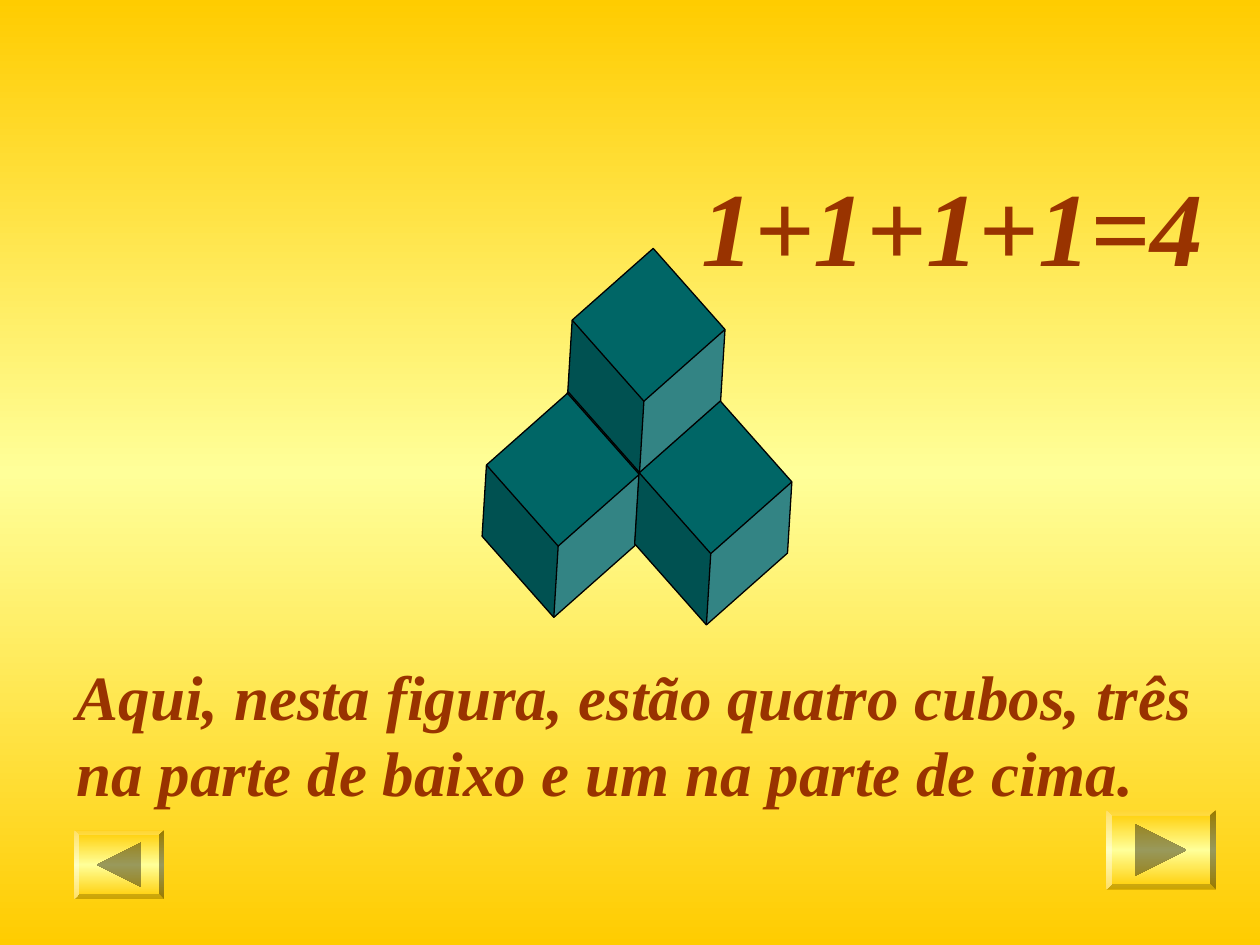
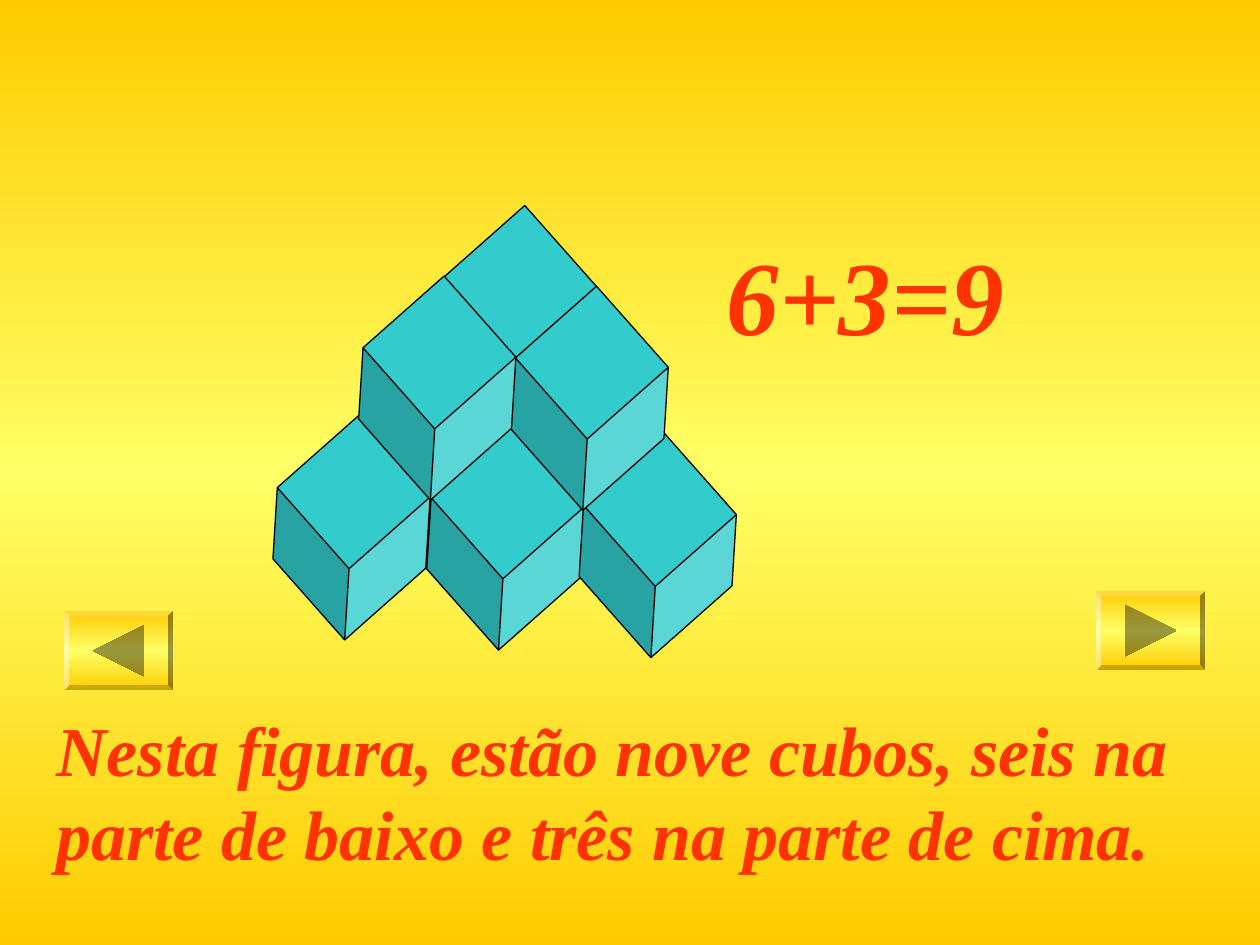
from dataclasses import dataclass
from copy import deepcopy

from lxml import etree
from pptx import Presentation
from pptx.dml.color import RGBColor
from pptx.enum.shapes import MSO_SHAPE as Preset
from pptx.enum.text import MSO_AUTO_SIZE as AutoSize
from pptx.oxml.ns import qn
from pptx.util import Pt


@dataclass(frozen=True)
class Theme:
    font: str = "Times New Roman"
    gold: str = "FFCC00"
    pale_glow: str = "FFFF99"
    bright_glow: str = "FFFF66"
    teal: str = "006666"
    turquoise: str = "33CCCC"
    brown: str = "993300"
    red: str = "FF3300"
    outline: str = "000000"
    outline_width: float = 0.75
    formula_size: int = 60
    caption_size: int = 36
    large_caption_size: int = 40
    cube_side: float = 90.7
    cube_turn: float = 138.5
    cube_depth: float = 0.318


class SlideBuilder:
    def __init__(self, deck, theme):
        self.deck = deck
        self.theme = theme

    def start(self, glow, cube_color, text_color):
        self.page = self.deck.slides.add_slide(self.deck.slide_layouts[6])
        self.glow = glow
        self.cube_color = RGBColor.from_string(cube_color)
        self.text_color = RGBColor.from_string(text_color)
        self.shine(self.page.background.fill, self.page)

    def shine(self, fill, owner):
        fill.gradient()
        fill.gradient_angle = 270
        stops = next(owner.element.iter(qn("a:gsLst")))
        stops.insert(1, deepcopy(stops[0]))
        colors = (self.theme.gold, self.glow, self.theme.gold)
        for stop, position, color in zip(fill.gradient_stops, (0, 0.5, 1), colors):
            stop.position = position
            stop.color.rgb = RGBColor.from_string(color)

    def cubes(self, places, grouped=False):
        shapes = self.page.shapes
        if grouped:
            shapes = shapes.add_group_shape().shapes
        side = Pt(self.theme.cube_side)
        for left, top in places:
            cube = shapes.add_shape(Preset.CUBE, Pt(left), Pt(top), side, side)
            cube.adjustments[0] = self.theme.cube_depth
            cube.rotation = self.theme.cube_turn
            cube.shadow.inherit = False
            cube.fill.solid()
            cube.fill.fore_color.rgb = self.cube_color
            cube.line.color.rgb = RGBColor.from_string(self.theme.outline)
            cube.line.width = Pt(self.theme.outline_width)

    def text(self, wording, left, top, width, height, size):
        box = self.page.shapes.add_textbox(Pt(left), Pt(top), Pt(width), Pt(height))
        frame = box.text_frame
        frame.word_wrap = True
        frame.auto_size = AutoSize.SHAPE_TO_FIT_TEXT
        para = frame.paragraphs[0]
        para.text = wording
        para.font.name = self.theme.font
        para.font.size = Pt(size)
        para.font.bold = para.font.italic = True
        para.font.color.rgb = self.text_color

    def button(self, left, top, width, height, direction):
        bevel = height / 15
        reach = 0.375 * (height - 2 * bevel)
        right, bottom = left + width, top + height
        middle_x, middle_y = left + width / 2, top + height / 2
        outer = [(left, top), (right, top), (right, bottom), (left, bottom)]
        inner = [(left + bevel, top + bevel), (right - bevel, top + bevel),
                 (right - bevel, bottom - bevel), (left + bevel, bottom - bevel)]
        back, tip = middle_x - direction * reach, middle_x + direction * reach
        arrow = [(back, middle_y - reach), (tip, middle_y), (back, middle_y + reach)]
        faces = [("norm", outer)]
        for side, shade in enumerate(("lightenLess", "darken", "darkenLess", "lighten")):
            after = (side + 1) % 4
            faces.append((shade, [outer[side], outer[after], inner[after], inner[side]]))
        faces.append(("darken", arrow))
        self.shaded_outline(faces)

    def shaded_outline(self, faces):
        contours = [[(Pt(x), Pt(y)) for x, y in points] for _, points in faces]
        builder = self.page.shapes.build_freeform(*contours[0][0])
        builder.add_line_segments(contours[0][1:], close=True)
        for points in contours[1:]:
            builder.move_to(*points[0])
            builder.add_line_segments(points[1:], close=True)
        shape = builder.convert_to_shape()
        shape.shadow.inherit = False
        shape.line.fill.background()
        self.shine(shape.fill, shape)

        joined = next(shape.element.iter(qn("a:path")))
        paths = joined.getparent()
        shades = iter([shade for shade, _ in faces])
        for step in list(joined):
            if step.tag == qn("a:moveTo"):
                face = etree.SubElement(paths, qn("a:path"), dict(joined.attrib))
                face.set("fill", next(shades))
            face.append(step)
        paths.remove(joined)


def main():
    theme = Theme()
    deck = Presentation()
    deck.slide_width, deck.slide_height = Pt(720), Pt(540)
    slide = SlideBuilder(deck, theme)

    slide.start(theme.pale_glow, theme.teal, theme.brown)
    slide.cubes([(321.1, 202.3), (275, 243.4), (362.2, 247.7), (324, 160.6)])
    slide.text("Aqui, nesta figura, estão quatro cubos, três na parte de baixo "
               "e um na parte de cima.", 36.7, 372.2, 663, 93.6, theme.caption_size)
    slide.text("1+1+1+1=4", 393.8, 88.6, 306, 79.2, theme.formula_size)
    slide.button(632.2, 463, 62.4, 45.4, 1)
    slide.button(42.5, 474.5, 51.1, 39.4, -1)

    slide.start(theme.bright_glow, theme.turquoise, theme.red)
    slide.cubes([(249.1, 175.7), (202.3, 215.3), (290.2, 221), (243.4, 262.1),
                 (155.5, 256.3), (330.5, 266.4)], grouped=True)
    slide.cubes([(250.6, 136.1), (291.6, 182.2), (204.5, 176.4)], grouped=True)
    slide.text("Nesta figura, estão nove cubos, seis na parte de baixo e três "
               "na parte de cima.", 25.2, 400.3, 674.6, 103.7, theme.large_caption_size)
    slide.text("6+3=9", 408.2, 128.2, 257.8, 79.2, theme.formula_size)
    slide.button(626.4, 337.7, 62.4, 45.4, 1)
    slide.button(36.7, 349.2, 62.2, 45.4, -1)

    deck.save("out.pptx")


if __name__ == "__main__":
    main()
